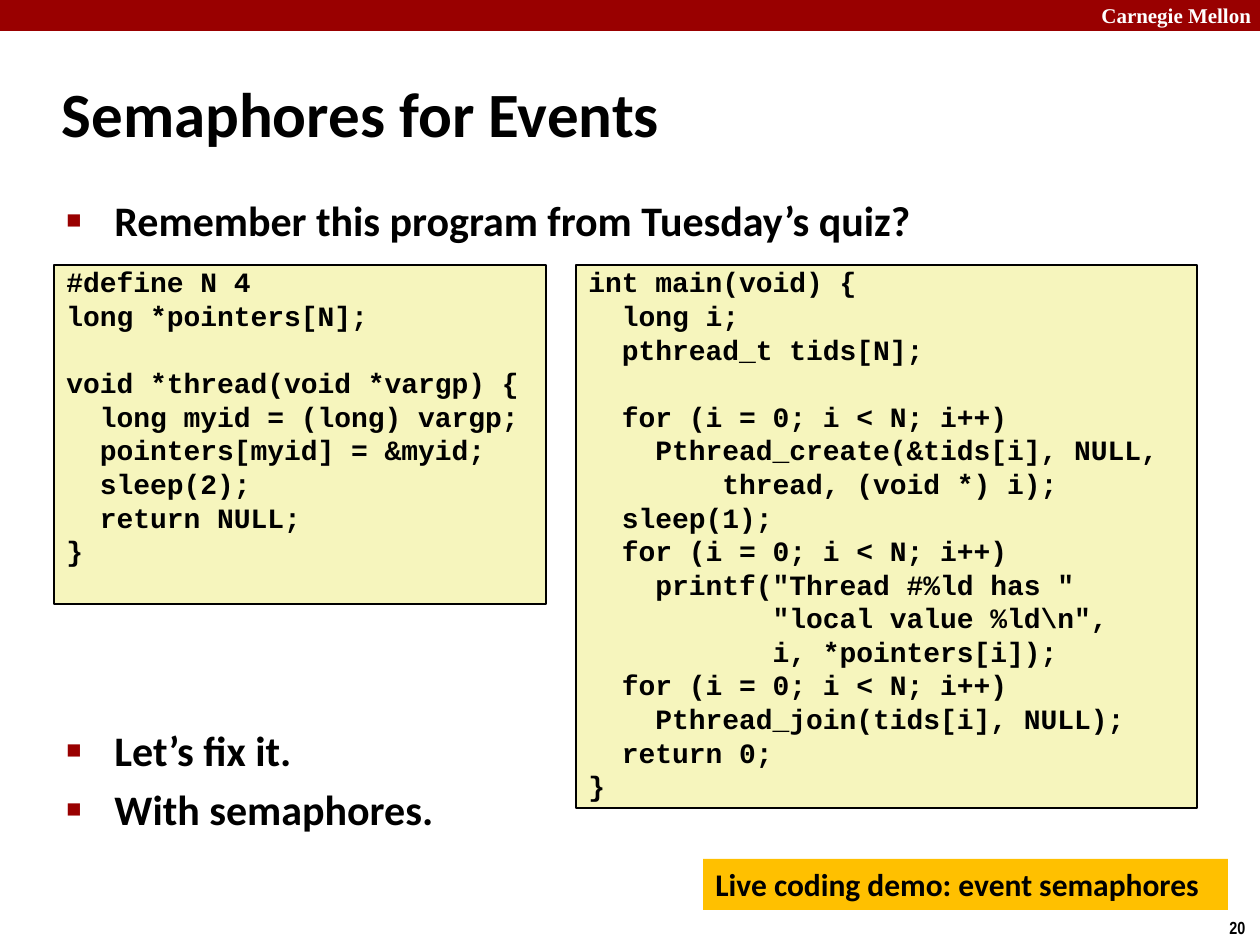
from lxml import etree
from pptx import Presentation
from pptx import util as u
from pptx.dml.color import RGBColor
from pptx.enum import shapes, text
from pptx.oxml import ns

RED = RGBColor(0x99, 0x00, 0x00)
BLACK = RGBColor(0x00, 0x00, 0x00)
WHITE = RGBColor(0xFF, 0xFF, 0xFF)
CREAM = RGBColor(0xF6, 0xF5, 0xBD)
GOLD = RGBColor(0xFF, 0xC0, 0x00)
SCALE = 914400 / 126


def px(*vals):
    return [u.Emu(round(v * SCALE)) for v in vals]


def write(shape, lines, face, size, color=BLACK, bullet=False):
    frame = shape.text_frame
    for i, line in enumerate(lines):
        para = frame.paragraphs[0] if i == 0 else frame.add_paragraph()
        para.alignment = text.PP_ALIGN.LEFT
        if bullet:
            para.space_before = u.Pt(5 if i else 0)
            props = para._p.get_or_add_pPr()
            props.set("marL", str(px(48)[0]))
            props.set("indent", str(px(-48)[0]))
            tint = etree.SubElement(props, ns.qn("a:buClr"))
            etree.SubElement(tint, ns.qn("a:srgbClr"), val=str(RED))
            etree.SubElement(props, ns.qn("a:buSzPct"), val="60000")
            etree.SubElement(props, ns.qn("a:buFont"), typeface="Arial")
            etree.SubElement(props, ns.qn("a:buChar"), char="■")
        if line:
            run = para.add_run()
            run.text = line
            form = {"name": face, "size": u.Pt(size), "bold": True}
            for key, val in form.items():
                setattr(run.font, key, val)
            run.font.color.rgb = color
        else:
            end = etree.SubElement(para._p, ns.qn("a:endParaRPr"), sz=str(size * 100), b="1")
            etree.SubElement(end, ns.qn("a:latin"), typeface=face)


LEFT = """#define N 4
long *pointers[N];

void *thread(void *vargp) {
  long myid = (long) vargp;
  pointers[myid] = &myid;
  sleep(2);
  return NULL;
}"""

RIGHT = r"""int main(void) {
  long i;
  pthread_t tids[N];

  for (i = 0; i < N; i++)
    Pthread_create(&tids[i], NULL,
        thread, (void *) i);
  sleep(1);
  for (i = 0; i < N; i++)
    printf("Thread #%ld has "
           "local value %ld\n",
           i, *pointers[i]);
  for (i = 0; i < N; i++)
    Pthread_join(tids[i], NULL);
  return 0;
}"""

deck = Presentation()
deck.slide_width, deck.slide_height = px(1260, 945)
slide = deck.slides.add_slide(deck.slide_layouts[5])

title = slide.shapes.title
title.left, title.top, title.width, title.height = px(49, 60, 1046, 105)
title.text_frame.vertical_anchor = text.MSO_ANCHOR.MIDDLE
title.text_frame.auto_size = text.MSO_AUTO_SIZE.NONE
write(title, ["Semaphores for Events"], "Calibri", 36)

boxes = [
    ((0, 0, 1260, 31), RED, False, "", "Calibri", 18),
    ((54, 265, 492, 339), CREAM, True, LEFT, "Courier New", 16),
    ((576, 265, 621, 543), CREAM, True, RIGHT, "Courier New", 16),
    ((703, 859, 525, 51), GOLD, False, "Live coding demo: event semaphores", "Calibri", 18),
]
for area, fill, code, words, face, size in boxes:
    box = slide.shapes.add_shape(shapes.MSO_SHAPE.RECTANGLE, *px(*area))
    box.shadow.inherit = False
    box.fill.solid()
    box.fill.fore_color.rgb = fill
    if code:
        box.line.color.rgb = BLACK
        box.line.width = u.Pt(1)
        box.text_frame.margin_top = box.text_frame.margin_bottom = 0
    else:
        box.line.fill.background()
    box.text_frame.word_wrap = True
    box.text_frame.vertical_anchor = text.MSO_ANCHOR.TOP
    if words:
        write(box, words.split("\n"), face, size)

notes = [
    ((1089, -4, 180, 38), ["Carnegie Mellon"], "Times New Roman", 12, WHITE, False),
    ((1217, 911, 43, 34), ["20"], "Arial Narrow", 10, BLACK, False),
    ((54, 188, 1089, 70), ["Remember this program from Tuesday’s quiz?"], "Calibri", 24, BLACK, True),
    ((54, 718, 500, 125), ["Let’s fix it.", "With semaphores."], "Calibri", 24, BLACK, True),
]
for area, lines, face, size, color, bullet in notes:
    box = slide.shapes.add_textbox(*px(*area))
    box.text_frame.word_wrap = True
    write(box, lines, face, size, color, bullet)

deck.save("out.pptx")
